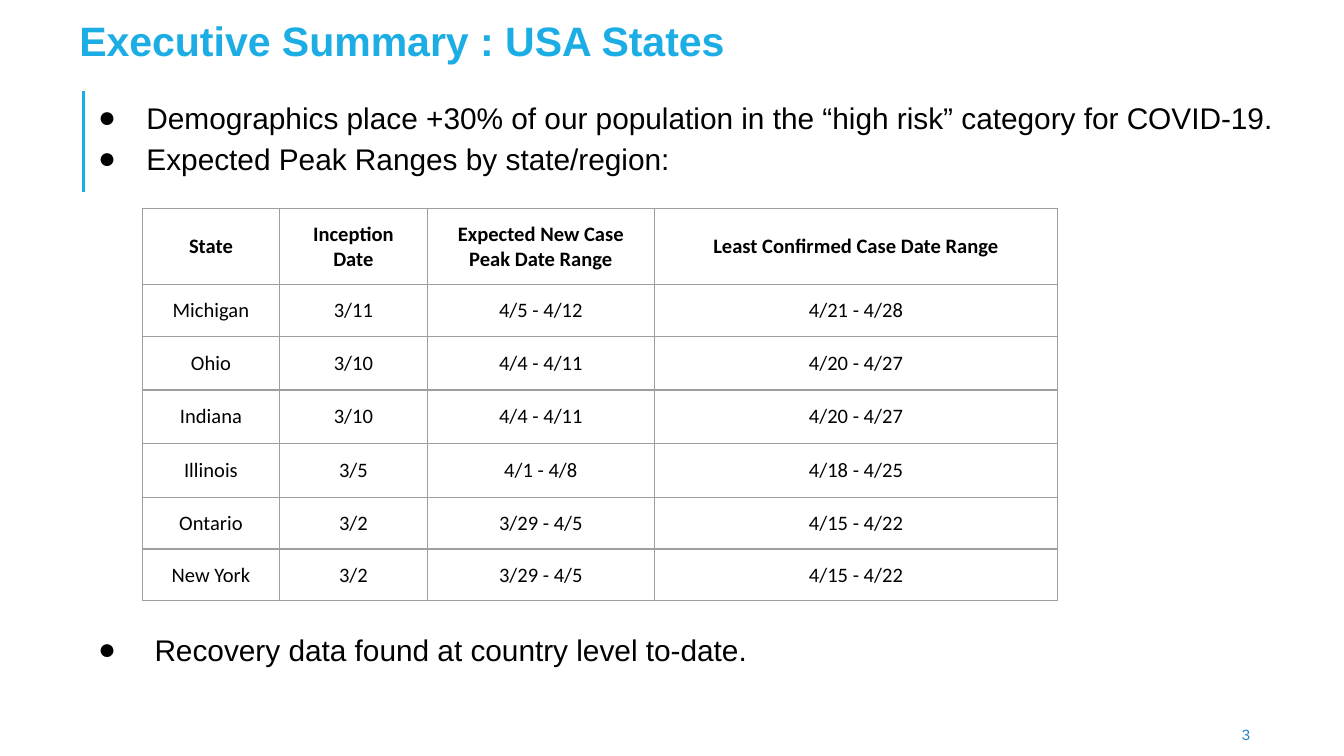
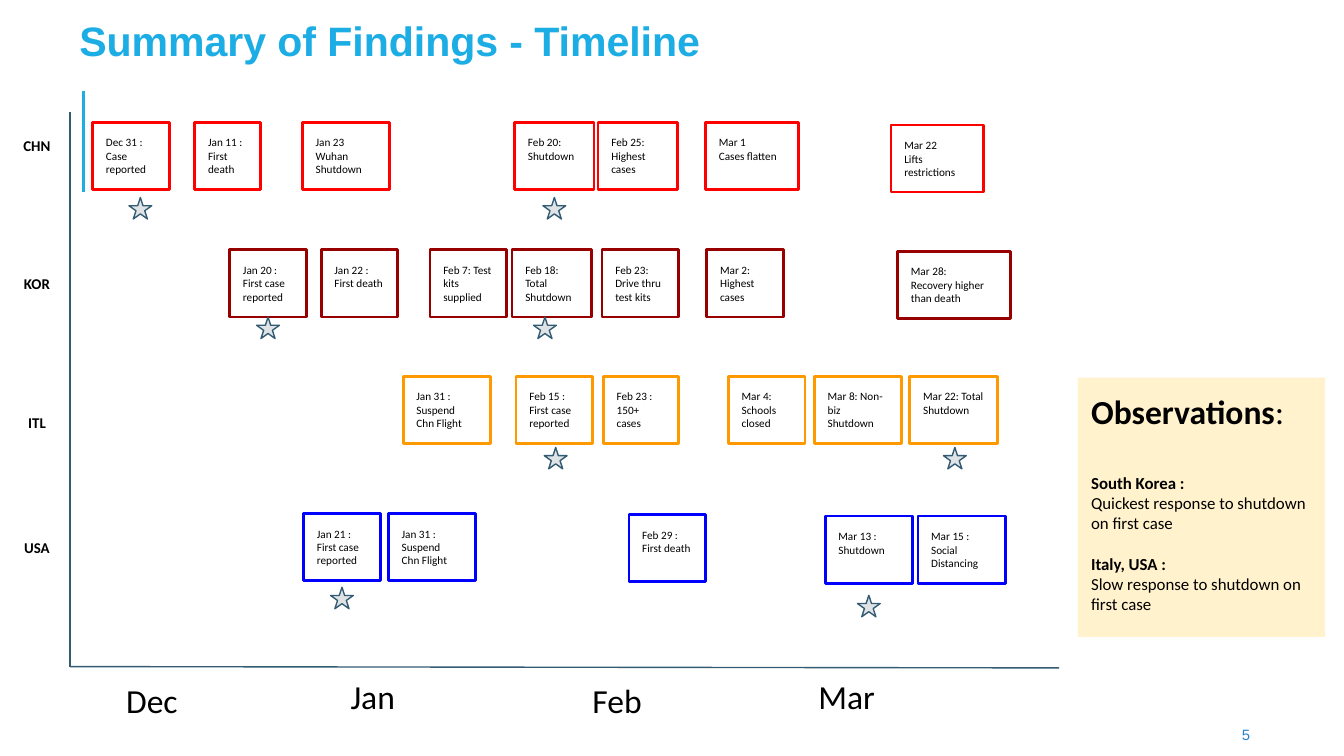
from copy import deepcopy
from lxml import etree
from pptx import Presentation
from pptx.dml.color import RGBColor
from pptx.enum.shapes import MSO_CONNECTOR as Connector, MSO_SHAPE as Preset
from pptx.enum.text import MSO_ANCHOR as Anchor, PP_ALIGN as Align
from pptx.oxml import parse_xml
from pptx.oxml.ns import nsdecls, qn
from pptx.util import Pt

EMU_PER_PX = 9144
SLIDE_WIDTH = 1000
SKY, BLUE, SLATE, BLACK = "1CADE4", "2683C6", "335B74", "000000"
STAR_FILL, NOTE_FILL, GRID = "DFE3E5", "FFF2CC", "9E9E9E"
TITLE = {"name": "Arial", "size": Pt(22), "bold": True, "color": SKY}
PAGE_NUMBER = {"name": "Arial", "size": Pt(8), "color": BLUE}
BULLET = {"name": "Arial", "size": Pt(16), "color": BLACK}
CALIBRI = {"name": "Calibri", "color": BLACK}
EVENT = {**CALIBRI, "size": Pt(6)}
CELL = {**CALIBRI, "size": Pt(11)}
MONTH = {**CALIBRI, "size": Pt(18)}
COUNTRY = {**CALIBRI, "size": Pt(8), "bold": True}
NOTE = {**CALIBRI, "size": Pt(9)}

COLUMNS = [102, 110, 169, 300]
ROWS = [44, 36, 40, 40, 40, 36, 36]
STATES = [
    ("State", "Inception Date", "Expected New Case Peak Date Range", "Least Confirmed Case Date Range"),
    ("Michigan", "3/11", "4/5 - 4/12", "4/21 - 4/28"),
    ("Ohio", "3/10", "4/4 - 4/11", "4/20 - 4/27"),
    ("Indiana", "3/10", "4/4 - 4/11", "4/20 - 4/27"),
    ("Illinois", "3/5", "4/1 - 4/8", "4/18 - 4/25"),
    ("Ontario", "3/2", "3/29 - 4/5", "4/15 - 4/22"),
    ("New York", "3/2", "3/29 - 4/5", "4/15 - 4/22"),
]
MONTHS = [("Dec", 84, 496), ("Jan", 251, 493), ("Feb", 431, 496), ("Mar", 599, 493)]
TIMELINE = [
    ("CHN", 95, "FF0000", [
        (69, 91, 57, "Dec 31 : Case reported"),
        (145, 91, 49, "Jan 11 : First death"),
        (225, 91, 65, "Jan 23 Wuhan Shutdown"),
        (383, 91, 59, "Feb 20: Shutdown"),
        (445, 91, 59, "Feb 25:\nHighest\ncases"),
        (525, 91, 69, "Mar 1\nCases flatten"),
        (663, 93, 69, "Mar 22\nLifts restrictions"),
    ], [(96, 147), (404, 147)]),
    ("KOR", 198, "980000", [
        (171, 186, 57, "Jan 20 : First case reported"),
        (239, 186, 57, "Jan 22 : First death"),
        (320, 186, 57, "Feb 7: Test kits supplied"),
        (381, 186, 59, "Feb 18: Total Shutdown"),
        (448, 186, 57, "Feb 23: Drive thru test kits"),
        (526, 186, 57, "Mar 2:\nHighest\ncases"),
        (668, 187, 84, "Mar 28:\nRecovery higher than death"),
    ], [(191, 236), (397, 236)]),
    ("ITL", 301, "FF9900", [
        (300, 280, 65, "Jan 31 : Suspend\nChn Flight"),
        (384, 280, 57, "Feb 15 : First case reported"),
        (449, 280, 56, "Feb 23 : 150+ cases"),
        (542, 280, 57, "Mar 4: Schools closed"),
        (606, 280, 65, "Mar 8: Non-biz Shutdown"),
        (677, 280, 65, "Mar 22: Total Shutdown"),
    ], [(405, 333), (702, 333)]),
    ("USA", 394, "0000FF", [
        (226, 382, 57, "Jan 21 : First case reported"),
        (289, 382, 65, "Jan 31 : Suspend\nChn Flight"),
        (468, 383, 57, "Feb 29 : First death"),
        (614, 384, 65, "Mar 13 : Shutdown"),
        (683, 384, 65, "Mar 15 : Social Distancing"),
    ], [(246, 437), (638, 443)]),
]


def px(*lengths):
    return [length * EMU_PER_PX for length in lengths]


def rgb(value):
    return RGBColor.from_string(value)


def set_format(target, values):
    for name, value in values.items():
        if name == "color":
            target.color.rgb = rgb(value)
        else:
            setattr(target, name, value)


def add_runs(paragraph, text, font):
    for index, line in enumerate(text.split("\n")):
        if index:
            paragraph.add_line_break()
            paragraph._p[-1].append(deepcopy(run._r.rPr))
        run = paragraph.add_run()
        run.text = line
        set_format(run.font, font)


def margins(inset):
    [margin] = px(inset)
    return {f"margin_{side}": margin for side in ("left", "right", "top", "bottom")}


def prepare_frame(frame, inset, anchor=Anchor.TOP):
    set_format(frame, {"word_wrap": True, "vertical_anchor": anchor, **margins(inset)})


def write_lines(frame, lines, align=Align.LEFT):
    for index, (runs, before) in enumerate(lines):
        paragraph = frame.add_paragraph() if index else frame.paragraphs[0]
        paragraph.alignment = align
        if before:
            paragraph.space_before = Pt(before)
        for text, font in runs:
            add_runs(paragraph, text, font)


def write_text(frame, text, font, align=Align.LEFT):
    write_lines(frame, [([(text, font)], 0)], align)


def add_text(slide, box, text, font, inset=10, align=Align.LEFT, anchor=Anchor.TOP):
    frame = slide.shapes.add_textbox(*px(*box)).text_frame
    prepare_frame(frame, inset, anchor)
    write_text(frame, text, font, align)


def add_preset(slide, preset, box, fill=None, line=None, width=0.75):
    shape = slide.shapes.add_shape(preset, *px(*box))
    shape.shadow.inherit = False
    if fill:
        shape.fill.solid()
        shape.fill.fore_color.rgb = rgb(fill)
    else:
        shape.fill.background()
    if line:
        set_format(shape.line, {"color": line, "width": Pt(width)})
    else:
        shape.line.fill.background()
    prepare_frame(shape.text_frame, 10)
    return shape


def add_line(slide, points, color, width):
    connector = slide.shapes.add_connector(Connector.STRAIGHT, *px(*points))
    set_format(connector.line, {"color": color, "width": Pt(width)})
    etree.SubElement(connector._element.spPr, qn("a:effectLst"))


def add_bullets(slide, box, bullets):
    frame = slide.shapes.add_textbox(*px(*box)).text_frame
    prepare_frame(frame, 0)
    write_lines(frame, [([(text, BULLET)], before) for text, before, _ in bullets])
    for paragraph, (_, _, left) in zip(frame.paragraphs, bullets):
        paragraph.line_spacing = 1.15
        properties = paragraph._p.get_or_add_pPr()
        margin, indent = px(left, 14 - left)
        properties.set("marL", str(margin))
        properties.set("indent", str(indent))
        color = etree.SubElement(properties, qn("a:buClr"))
        etree.SubElement(color, qn("a:srgbClr"), val=BLACK)
        etree.SubElement(properties, qn("a:buFont"), typeface="Arial")
        etree.SubElement(properties, qn("a:buChar"), char="●")


def add_borders(cell):
    properties = cell._tc.get_or_add_tcPr()
    for side in ("lnL", "lnR", "lnT", "lnB"):
        properties.append(parse_xml(
            f'<a:{side} {nsdecls("a")} w="{Pt(0.75)}"><a:solidFill>'
            f'<a:srgbClr val="{GRID}"/></a:solidFill></a:{side}>'))


def add_state_table(slide, left, top):
    box = px(left, top, sum(COLUMNS), sum(ROWS))
    table = slide.shapes.add_table(len(ROWS), len(COLUMNS), *box).table
    set_format(table, {"first_row": False, "horz_banding": False})
    for column, width in zip(table.columns, px(*COLUMNS)):
        column.width = width
    for row, height in zip(table.rows, px(*ROWS)):
        row.height = height
    for row_index, values in enumerate(STATES):
        for column_index, value in enumerate(values):
            cell = table.cell(row_index, column_index)
            add_borders(cell)
            cell.fill.background()
            set_format(cell, {"vertical_anchor": Anchor.MIDDLE, **margins(10)})
            write_text(cell.text_frame, value, {**CELL, "bold": row_index == 0}, Align.CENTER)


def add_base_slide(presentation, title, number):
    slide = presentation.slides.add_slide(presentation.slide_layouts[6])
    add_line(slide, (62, 143, 62, 68), SKY, 1.5)
    add_text(slide, (59, 17, 662, 26), title, TITLE, inset=0, anchor=Anchor.MIDDLE)
    add_text(slide, (924, 540, 35, 16), number, PAGE_NUMBER, inset=0)
    return slide


def add_country(slide, name, label_top, color, events, stars):
    add_text(slide, (3, label_top, 49, 23), name, COUNTRY, align=Align.CENTER)
    for left, top, width, text in events:
        box = add_preset(slide, Preset.RECTANGLE, (left, top, width, 50), line=color, width=1.5)
        write_text(box.text_frame, text, EVENT)
    for left, top in stars:
        add_preset(slide, Preset.STAR_5_POINT, (left, top, 17, 16), STAR_FILL, SLATE)


def add_observations(slide):
    note = add_preset(slide, Preset.RECTANGLE, (802, 281, 184, 193), NOTE_FILL)
    heading = {**NOTE, "bold": True}
    write_lines(note.text_frame, [
        ([("Observations", {**MONTH, "bold": True}), (":", MONTH)], 0),
        ([("South Korea :\n", heading), ("Quickest response to shutdown on first case", NOTE)], 22),
        ([("Italy, USA :", heading)], 11),
        ([("Slow response to shutdown on first case", NOTE)], 0),
    ])


def build_summary(presentation):
    slide = add_base_slide(presentation, "Executive Summary : USA States", "3")
    add_bullets(slide, (59, 70, 916, 461), [
        ("Demographics place +30% of our population in the “high risk” category for COVID-19.", 0, 50),
        ("Expected Peak Ranges by state/region:", 0, 50),
        ("Recovery data found at country level to-date.", 241, 56),
    ])
    add_state_table(slide, 106, 155)


def build_timeline(presentation):
    slide = add_base_slide(presentation, "Summary of Findings - Timeline", "5")
    add_line(slide, (52, 83, 52, 496), SLATE, 0.75)
    add_line(slide, (788, 497, 52, 496), SLATE, 0.75)
    for month, left, top in MONTHS:
        add_text(slide, (left, top, 69, 33), month, MONTH)
    for country in TIMELINE:
        add_country(slide, *country)
    add_observations(slide)


def main():
    presentation = Presentation()
    [presentation.slide_width] = px(SLIDE_WIDTH)
    presentation.slide_height = presentation.slide_width * 9 // 16
    build_summary(presentation)
    build_timeline(presentation)
    presentation.save("out.pptx")


if __name__ == "__main__":
    main()
